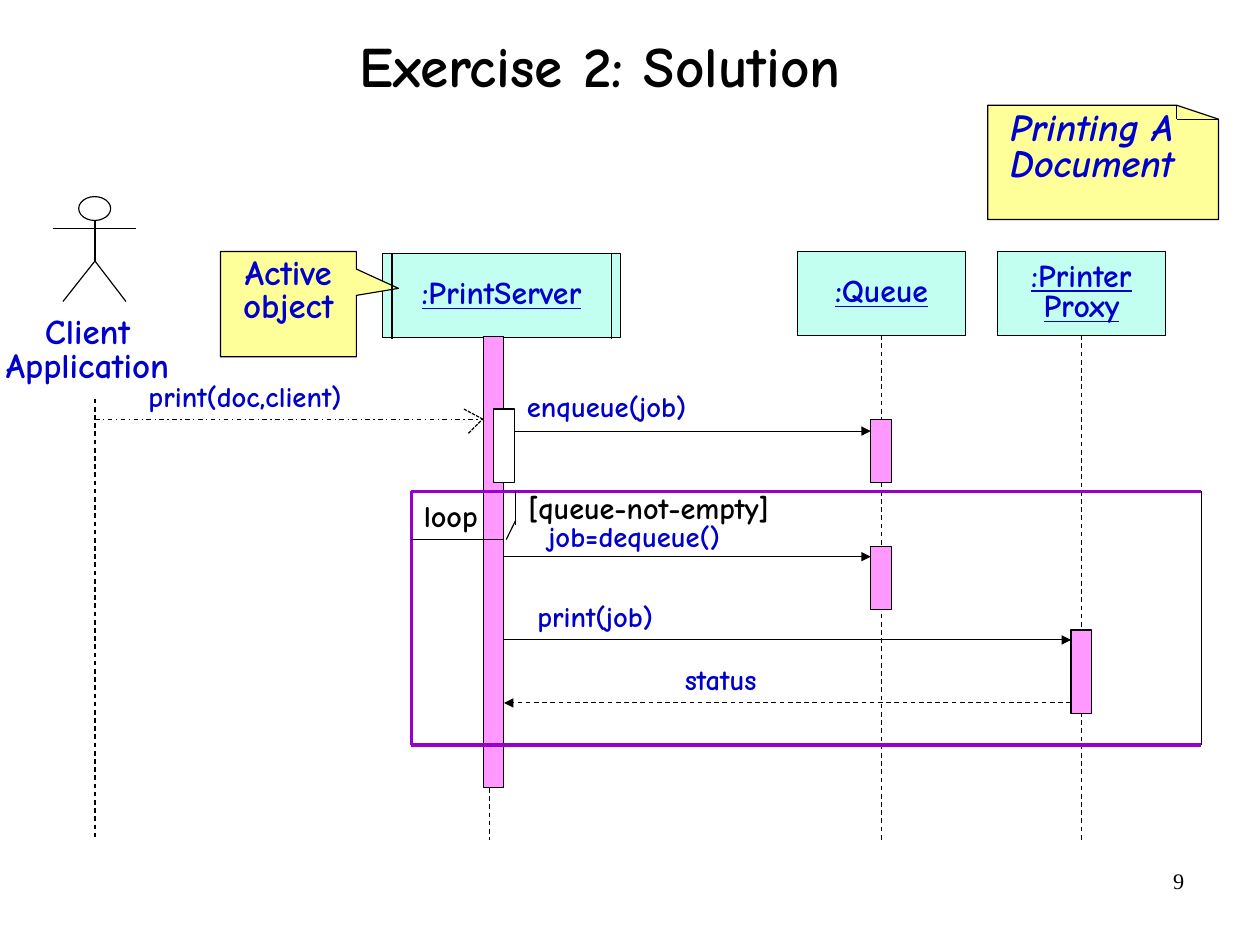
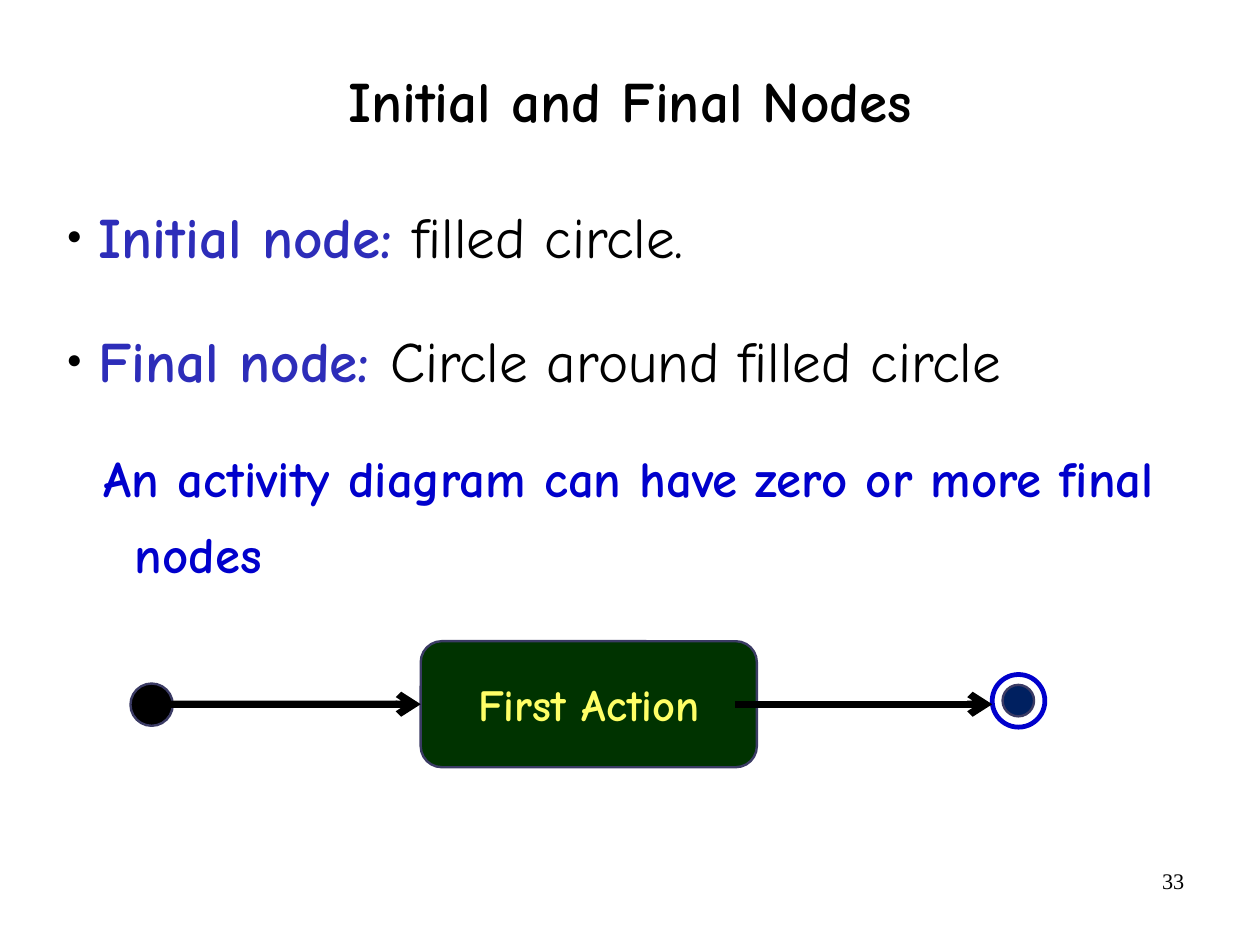
from dataclasses import dataclass

from lxml.etree import SubElement
from pptx import Presentation
from pptx.dml.color import RGBColor as RGB
from pptx.enum.dml import MSO_LINE as Dash
from pptx.enum.shapes import MSO_CONNECTOR, MSO_SHAPE as Shape
from pptx.enum.text import MSO_ANCHOR as Anchor, MSO_AUTO_SIZE as Fit, PP_ALIGN as Align
from pptx.oxml.ns import qn
from pptx.util import Cm, Pt


@dataclass(frozen=True)
class Theme:
    font: str = "Comic Neue"
    number_font: str = "Times New Roman"
    black: RGB = RGB(0, 0, 0)
    white: RGB = RGB(255, 255, 255)
    blue: RGB = RGB.from_string("0000CC")
    term: RGB = RGB.from_string("2D2DB9")
    mint: RGB = RGB.from_string("C2FFF0")
    pink: RGB = RGB.from_string("FF99FF")
    yellow: RGB = RGB.from_string("FFFF99")
    purple: RGB = RGB.from_string("9900CC")
    slate: RGB = RGB.from_string("3B3B64")
    navy: RGB = RGB.from_string("002060")
    green: RGB = RGB.from_string("003300")
    lemon: RGB = RGB.from_string("FFFF66")
    title_size: int = 36
    body_size: int = 36
    remark_size: int = 32
    action_size: int = 28
    note_size: int = 24
    actor_size: int = 22
    object_size: int = 20
    frame_size: int = 19
    message_size: int = 18
    number_size: int = 14


T = Theme()


def place(slide, kind, x, y, w, h, text="", size=18, color=T.blue, fill=None, edge=T.black,
          weight=0.75, align=Align.LEFT, spacing=0.8, wrap=False, font=T.font, bold=True,
          italic=False, underline=False):
    """Add a preset shape, or a text box when kind is None, sized in centimetres."""
    box = [Cm(v) for v in (x, y, w, h)]
    if kind is None:
        shape = slide.shapes.add_textbox(*box)
    else:
        shape = slide.shapes.add_shape(kind, *box)
        shape.shadow.inherit = False
        shape.line.color.rgb = edge
        shape.line.width = Pt(weight)
        if fill is None:
            shape.fill.background()
        else:
            shape.fill.solid()
            shape.fill.fore_color.rgb = fill
    frame = shape.text_frame
    frame.word_wrap = wrap
    frame.margin_left = frame.margin_right = Cm(0.28)
    frame.margin_top = frame.margin_bottom = Cm(0.15)
    for i, line in enumerate(text.split("\n") if text else []):
        paragraph = frame.add_paragraph() if i else frame.paragraphs[0]
        paragraph.alignment = align
        paragraph.line_spacing = spacing
        run = paragraph.add_run()
        run.text = line
        run.font.name, run.font.size, run.font.color.rgb = font, Pt(size), color
        run.font.bold, run.font.italic, run.font.underline = bold, italic, underline
    return shape


def draw_line(slide, x1, y1, x2, y2, color=T.black, weight=0.75, dash=None, head=None):
    line = slide.shapes.add_connector(MSO_CONNECTOR.STRAIGHT, Cm(x1), Cm(y1), Cm(x2), Cm(y2))
    line.line.color.rgb = color
    line.line.width = Pt(weight)
    if dash:
        line.line.dash_style = dash
    properties = line._element.spPr
    if head:
        SubElement(properties.find(qn("a:ln")), qn("a:tailEnd"), type=head)
    SubElement(properties, qn("a:effectLst"))
    return line


prs = Presentation()
prs.slide_width, prs.slide_height = Cm(28), Cm(21)

# Titles and page numbers
slides = []
for layout, title_text, left, top, number in (
    (5, "Exercise 2: Solution", 1.4, -0.2, "9"),
    (1, "Initial and Final Nodes", 2.06, 0.58, "33"),
):
    slide = prs.slides.add_slide(prs.slide_layouts[layout])
    title = slide.shapes.title
    title.left, title.top, title.width, title.height = Cm(left), Cm(top), Cm(23.88), Cm(3.48)
    title.text_frame.auto_size = Fit.NONE
    title.text_frame.vertical_anchor = Anchor.MIDDLE
    heading = title.text_frame.paragraphs[0]
    heading.alignment, heading.line_spacing = Align.CENTER, 0.88
    run = heading.add_run()
    run.text = title_text
    run.font.name, run.font.size, run.font.bold = T.font, Pt(T.title_size), True
    run.font.color.rgb = T.black
    place(slide, None, 20.07, 19.13, 6.53, 1.45, number, T.number_size, T.black, wrap=True,
          align=Align.RIGHT, spacing=1.0, font=T.number_font, bold=False)
    slides.append(slide)
sequence, nodes = slides

# Sequence diagram: the actor
for x1, y1, x2, y2 in (
    (1.4, 6.7, 2.11, 5.8), (2.8, 6.7, 2.11, 5.8), (2.11, 5.8, 2.11, 4.9), (1.17, 5.08, 3.03, 5.08),
):
    draw_line(sequence, x1, y1, x2, y2)
place(sequence, Shape.OVAL, 1.75, 4.37, 0.71, 0.53)
place(sequence, None, -0.38, 6.91, 4.65, 1.8, "Client\nApplication", T.actor_size,
      align=Align.CENTER)

# Objects and lifelines
lifeline_end = 18.67
draw_line(sequence, 2.11, 8.86, 2.11, lifeline_end, dash=Dash.DASH)
for text, x, y, w, lifeline_x in (
    (":PrintServer", 8.51, 5.64, 5.28, 10.87),
    (":Queue", 17.73, 5.59, 3.73, None),
    (":Printer\nProxy", 22.17, 5.59, 3.73, None),
):
    box = place(sequence, Shape.RECTANGLE, x, y, w, 1.86, text, T.object_size, fill=T.mint,
                align=Align.CENTER, underline=True)
    end_x = lifeline_x or x + w / 2
    lifeline = draw_line(sequence, end_x, y + 1.86, end_x, lifeline_end, dash=Dash.DASH)
    if lifeline_x is None:
        lifeline.begin_connect(box, 2)

# Activation bars
for x, y, h, fill in (
    (10.74, 7.47, 10.03, T.pink),
    (10.97, 9.09, 1.63, T.white),
    (19.35, 9.32, 1.4, T.pink),
    (19.35, 12.14, 1.4, T.pink),
    (23.8, 14, 1.85, T.pink),
):
    place(sequence, Shape.RECTANGLE, x, y, 0.46, h, fill=fill)

# Messages
for x1, x2, y, dash in (
    (11.43, 19.35, 9.58, None),
    (11.2, 19.35, 12.37, None),
    (11.2, 23.8, 14.22, None),
    (23.8, 11.2, 15.62, Dash.DASH),
):
    draw_line(sequence, x1, y, x2, y, dash=dash, head="triangle")
for x1, y1, x2, y2, dash in (
    (2.11, 9.32, 10.74, 9.32, Dash.DASH_DOT),
    (10.74, 9.32, 10.31, 9.09, Dash.SQUARE_DOT),
    (10.41, 9.63, 10.72, 9.32, Dash.SQUARE_DOT),
):
    draw_line(sequence, x1, y1, x2, y2, dash=dash)
for text, x, y, w in (
    ("print(doc,client)", 3.02, 8.41, 5.51),
    ("enqueue(job)", 11.43, 8.64, 4.42),
    ("job=dequeue()", 11.9, 11.54, 4.8),
    ("print(job)", 11.66, 13.31, 3.48),
    ("status", 14.94, 14.71, 2.49),
):
    label = place(sequence, None, x, y, w, 0.89, text, T.message_size)
    label.text_frame.auto_size = Fit.SHAPE_TO_FIT_TEXT

# Notes
builder = sequence.shapes.build_freeform(Cm(21.95), Cm(2.34))
builder.add_line_segments(
    [(Cm(x), Cm(y)) for x, y in ((21.95, 4.88), (27.08, 4.88), (27.08, 2.65), (26.15, 2.34))])
note = builder.convert_to_shape()
note.shadow.inherit = False
note.fill.solid()
note.fill.fore_color.rgb = T.yellow
note.line.color.rgb = T.black
note.line.width = Pt(0.75)
draw_line(sequence, 26.15, 2.34, 26.15, 2.65)
draw_line(sequence, 26.15, 2.65, 27.08, 2.65)
place(sequence, None, 22.17, 2.34, 4.6, 2.79, "Printing A\nDocument", T.note_size, wrap=True,
      italic=True)
callout = place(sequence, Shape.RECTANGULAR_CALLOUT, 4.9, 5.59, 3.02, 2.34, "Active object",
                T.actor_size, fill=T.yellow, align=Align.CENTER, wrap=True)
callout.adjustments[0], callout.adjustments[1] = 0.81, -0.15
callout.text_frame.vertical_anchor = Anchor.TOP
for x in (8.71, 13.59):
    draw_line(sequence, x, 5.64, x, 7.54)

# Loop frame
left, top, right, bottom = 9.14, 10.92, 26.7, 16.56
for x1, y1, x2, y2 in (
    (left, top, left, bottom), (left, bottom, right, bottom), (left, top, right, top),
):
    draw_line(sequence, x1, y1, x2, y2, T.purple, 2.25)
for x1, y1, x2, y2 in (
    (right, top, right, bottom), (left, 11.99, 11.18, 11.99),
    (11.46, top, 11.46, 11.66), (11.25, 11.99, 11.46, 11.56),
):
    draw_line(sequence, x1, y1, x2, y2)
for text, x, y, w in (("loop", left, 10.9, 1.8), ("[queue-not-empty]", 11.46, 10.72, 6.71)):
    label = place(sequence, None, x, y, w, 1.09, text, T.frame_size, T.black, spacing=1.0)
    label.text_frame.auto_size = Fit.SHAPE_TO_FIT_TEXT

# Node definitions
body = nodes.placeholders[1]
body.left, body.top, body.width, body.height = Cm(0.89), Cm(3.94), Cm(27.56), Cm(15.32)
frame = body.text_frame
frame.auto_size = Fit.NONE
frame.margin_left = frame.margin_right = Cm(0.28)
frame.margin_top = frame.margin_bottom = Cm(0.15)
for i, (level, margin, indent, size, runs) in enumerate((
    (0, 1.02, -0.71, T.body_size,
     (("Initial node: ", T.term, True), ("filled circle.", T.black, False))),
    (0, 1.02, -0.71, T.body_size,
     (("Final node: ", T.term, True), ("Circle around filled circle", T.black, False))),
    (1, 1.83, -0.69, T.remark_size,
     (("An activity diagram can have zero or more final nodes", T.blue, True),)),
)):
    paragraph = frame.add_paragraph() if i else frame.paragraphs[0]
    paragraph.level = level
    properties = paragraph._p.get_or_add_pPr()
    properties.set("marL", str(Cm(margin)))
    properties.set("indent", str(Cm(indent)))
    if level:
        SubElement(properties, qn("a:buNone"))
    else:
        bullet_color = SubElement(properties, qn("a:buClr"))
        SubElement(bullet_color, qn("a:srgbClr"), val=str(T.black))
        SubElement(properties, qn("a:buSzPct"), val="45000")
        SubElement(properties, qn("a:buChar"), char="●")
    paragraph.line_spacing = 1.25
    paragraph.space_before = Pt(12 if i else 0)
    paragraph.space_after = Pt(12)
    for text, color, bold in runs:
        run = paragraph.add_run()
        run.text = text
        run.font.name, run.font.size, run.font.bold = T.font, Pt(size), bold
        run.font.color.rgb = color

# Activity flow
flow_y = 15.65
place(nodes, Shape.OVAL, 2.9, 15.19, 0.94, 0.94, fill=T.black, edge=T.slate, weight=1.5)
place(nodes, Shape.OVAL, 22.05, 14.99, 1.17, 1.17, edge=T.blue, weight=3)
place(nodes, Shape.OVAL, 22.28, 15.22, 0.7, 0.7, fill=T.navy, edge=T.slate, weight=1.5)
action = place(nodes, Shape.ROUNDED_RECTANGLE, 9.35, flow_y - 1.4, 7.47, 2.8, "First Action",
               T.action_size, T.lemon, T.green, T.slate, 1.5, Align.CENTER, 1.0, True)
to_action = draw_line(nodes, 3.63, flow_y, 9.35, flow_y, weight=4.5, head="arrow")
to_action.end_connect(action, 1)
draw_line(nodes, 16.33, flow_y, 22.05, flow_y, weight=4.5, head="arrow")

prs.save("out.pptx")
